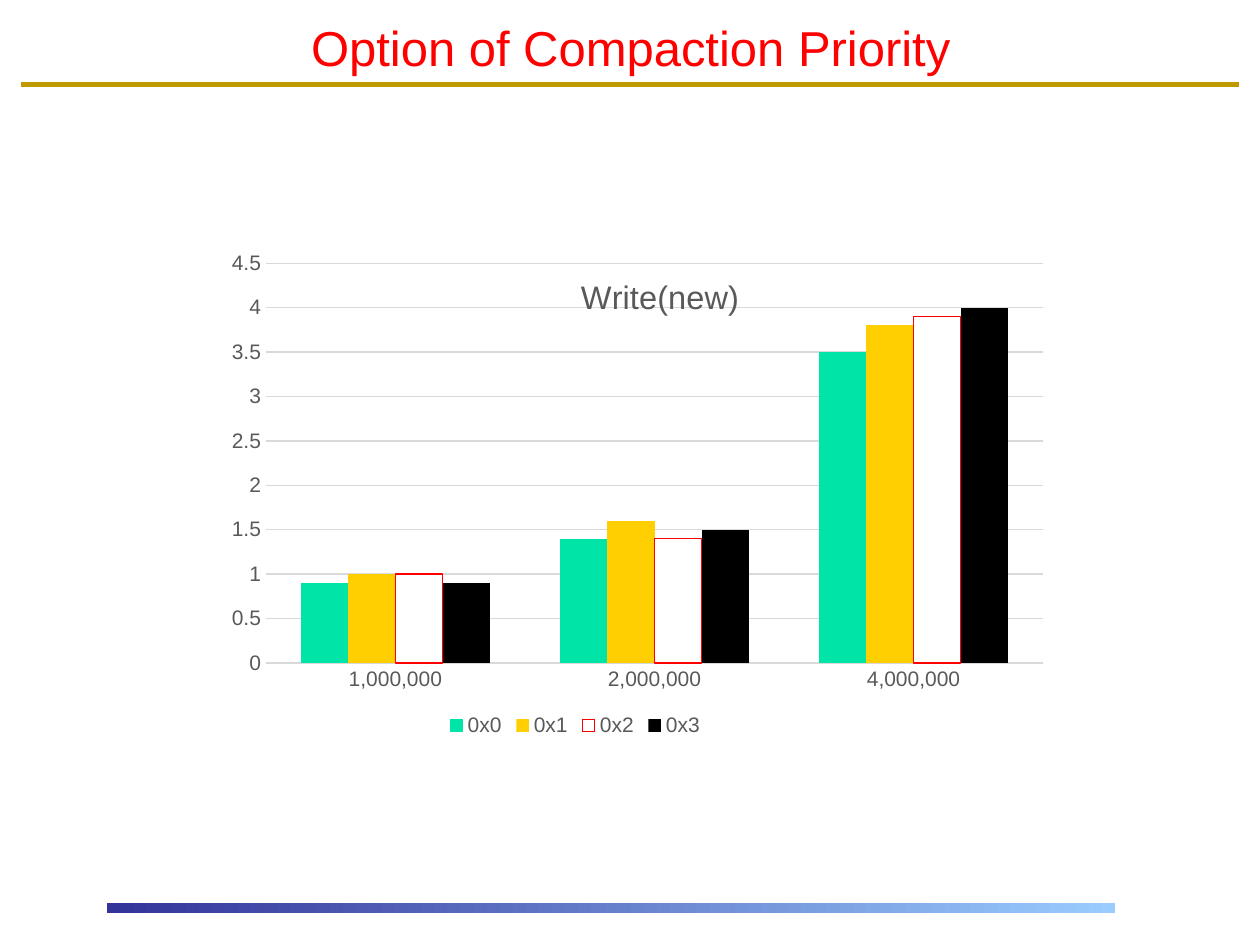
from lxml import etree
from pptx import Presentation
from pptx.chart.data import CategoryChartData
from pptx.dml.color import RGBColor
from pptx.enum.chart import XL_CHART_TYPE, XL_LEGEND_POSITION, XL_TICK_MARK
from pptx.enum.shapes import MSO_CONNECTOR, MSO_SHAPE
from pptx.enum.text import MSO_ANCHOR, PP_ALIGN
from pptx.oxml.ns import qn
from pptx.util import Inches, Pt

COLUMNS = XL_CHART_TYPE.COLUMN_CLUSTERED
BOTTOM = XL_LEGEND_POSITION.BOTTOM
NO_TICK = XL_TICK_MARK.NONE
STRAIGHT = MSO_CONNECTOR.STRAIGHT
RECTANGLE = MSO_SHAPE.RECTANGLE
MIDDLE = MSO_ANCHOR.MIDDLE
CENTER = PP_ALIGN.CENTER

TITLE = "Option of Compaction Priority"
CHART_TITLE = "Write(new)"
RECORD_COUNTS = [1000000, 2000000, 4000000]
# name, values, fill, outline
SERIES = [
    ("0x0", (0.9, 1.4, 3.5), "00E4A8", None),
    ("0x1", (1, 1.6, 3.8), "FFCF01", None),
    ("0x2", (1, 1.4, 3.9), "FFFFFF", "FF0000"),
    ("0x3", (0.9, 1.5, 4), "000000", None),
]

THEME = {
    "font": "Arial",
    "title": {"size": 28, "color": "FF0000"},
    "chart": {"size": 10, "color": "000000"},
    "chart_title": {"size": 18.6, "color": "595959"},
    "labels": {"size": 12, "color": "595959"},
    "rule": "BE9A00",
    "grid": "D9D9D9",
    "band": ("333399", "99CCFF"),
}

# Left, top, width, height in inches
TITLE_BOX = (0.17, 0.08, 9.67, 0.58)
BAND_BOX = (0.85, 7.17, 8, 0.08)
CHART_BOX = (1.69, 1.94, 7.01, 4.96)
RULE = (0.17, 0.67, 9.83, 0.67)

# Places inside the chart, as fractions of its size
PLOT_PLACE = {"x": 0.06, "y": 0.03, "w": 0.88, "h": 0.64}
CHART_TITLE_PLACE = {"x": 0.41, "y": 0.04}
LEGEND_PLACE = {"x": 0.26, "y": 0.74, "w": 0.3, "h": 0.06}


def inches(values):
    return [Inches(value) for value in values]


def style_font(font, role):
    color = RGBColor.from_string(THEME[role]["color"])
    formats = {"name": THEME["font"], "size": Pt(THEME[role]["size"]), "bold": False}
    for name, value in formats.items():
        setattr(font, name, value)
    font.color.rgb = color


def style_line(line, color, width):
    line.color.rgb = RGBColor.from_string(color)
    line.width = Pt(width)


def place_in_chart(element, position, place, inner=False):
    """Give a chart part a manual layout as its child number `position`."""
    for old in element.findall(qn("c:layout")):
        element.remove(old)
    layout = etree.Element(qn("c:layout"))
    manual = etree.SubElement(layout, qn("c:manualLayout"))
    settings = {"layoutTarget": "inner"} if inner else {}
    settings.update({"xMode": "edge", "yMode": "edge"})
    settings.update(place)
    for name, value in settings.items():
        etree.SubElement(manual, qn("c:" + name)).set("val", str(value))
    element.insert(position, layout)


def add_title(page):
    box = page.shapes.add_textbox(*inches(TITLE_BOX))
    frame = box.text_frame
    frame.word_wrap = True
    frame.vertical_anchor = MIDDLE
    para = frame.paragraphs[0]
    para.alignment = CENTER
    span = para.add_run()
    span.text = TITLE
    style_font(span.font, "title")


def add_rule(page):
    rule = page.shapes.add_connector(STRAIGHT, *inches(RULE))
    style_line(rule.line, THEME["rule"], 3)
    etree.SubElement(rule._element.spPr, qn("a:effectLst"))


def add_band(page):
    band = page.shapes.add_shape(RECTANGLE, *inches(BAND_BOX))
    band.shadow.inherit = False
    band.line.fill.background()
    band.fill.gradient()
    band.fill.gradient_angle = 0
    for stop, color, position in zip(band.fill.gradient_stops, THEME["band"], (0, 1)):
        stop.color.rgb = RGBColor.from_string(color)
        stop.position = position


def style_series(plot):
    plot.gap_width = 150
    plot.overlap = 0
    plot.vary_by_categories = False
    for series, (_, _, fill, outline) in zip(plot.series, SERIES):
        series.invert_if_negative = False
        series.format.fill.solid()
        series.format.fill.fore_color.rgb = RGBColor.from_string(fill)
        if outline:
            style_line(series.format.line, outline, 0.75)
        else:
            series.format.line.fill.background()


def style_axes(chart):
    for axis in (chart.category_axis, chart.value_axis):
        axis.major_tick_mark = axis.minor_tick_mark = NO_TICK
        style_font(axis.tick_labels.font, "labels")
    counts, values = chart.category_axis, chart.value_axis
    counts.tick_labels.number_format = "#,##0"
    counts.tick_labels.number_format_is_linked = False
    style_line(counts.format.line, THEME["grid"], 0.75)
    values.minimum_scale, values.maximum_scale, values.major_unit = 0, 4.5, 0.5
    values.format.line.fill.background()
    values.has_major_gridlines = True
    style_line(values.major_gridlines.format.line, THEME["grid"], 0.75)


def style_chart_title(chart):
    chart.has_title = True
    frame = chart.chart_title.text_frame
    frame.text = CHART_TITLE
    style_font(frame.paragraphs[0].runs[0].font, "chart_title")
    title = chart.element.find(".//" + qn("c:title"))
    place_in_chart(title, 1, CHART_TITLE_PLACE)
    overlay = title.find(qn("c:overlay"))
    if overlay is None:
        overlay = etree.Element(qn("c:overlay"))
        title.insert(2, overlay)
    overlay.set("val", "1")


def style_legend(chart):
    chart.has_legend = True
    chart.legend.position = BOTTOM
    chart.legend.include_in_layout = False
    style_font(chart.legend.font, "labels")
    place_in_chart(chart.element.find(".//" + qn("c:legend")), 1, LEGEND_PLACE)


def add_write_chart(page):
    data = CategoryChartData()
    data.categories = RECORD_COUNTS
    data.categories.number_format = "#,##0"
    for name, values, _, _ in SERIES:
        data.add_series(name, values)
    chart = page.shapes.add_chart(COLUMNS, *inches(CHART_BOX), data).chart
    style_font(chart.font, "chart")
    style_series(chart.plots[0])
    style_axes(chart)
    style_chart_title(chart)
    style_legend(chart)
    place_in_chart(chart.element.find(".//" + qn("c:plotArea")), 0, PLOT_PLACE, inner=True)


def main():
    deck = Presentation()
    deck.slide_width, deck.slide_height = inches((10, 7.5))
    page = deck.slides.add_slide(deck.slide_layouts[6])
    add_rule(page)
    add_band(page)
    add_title(page)
    add_write_chart(page)
    deck.save("out.pptx")


if __name__ == "__main__":
    main()
